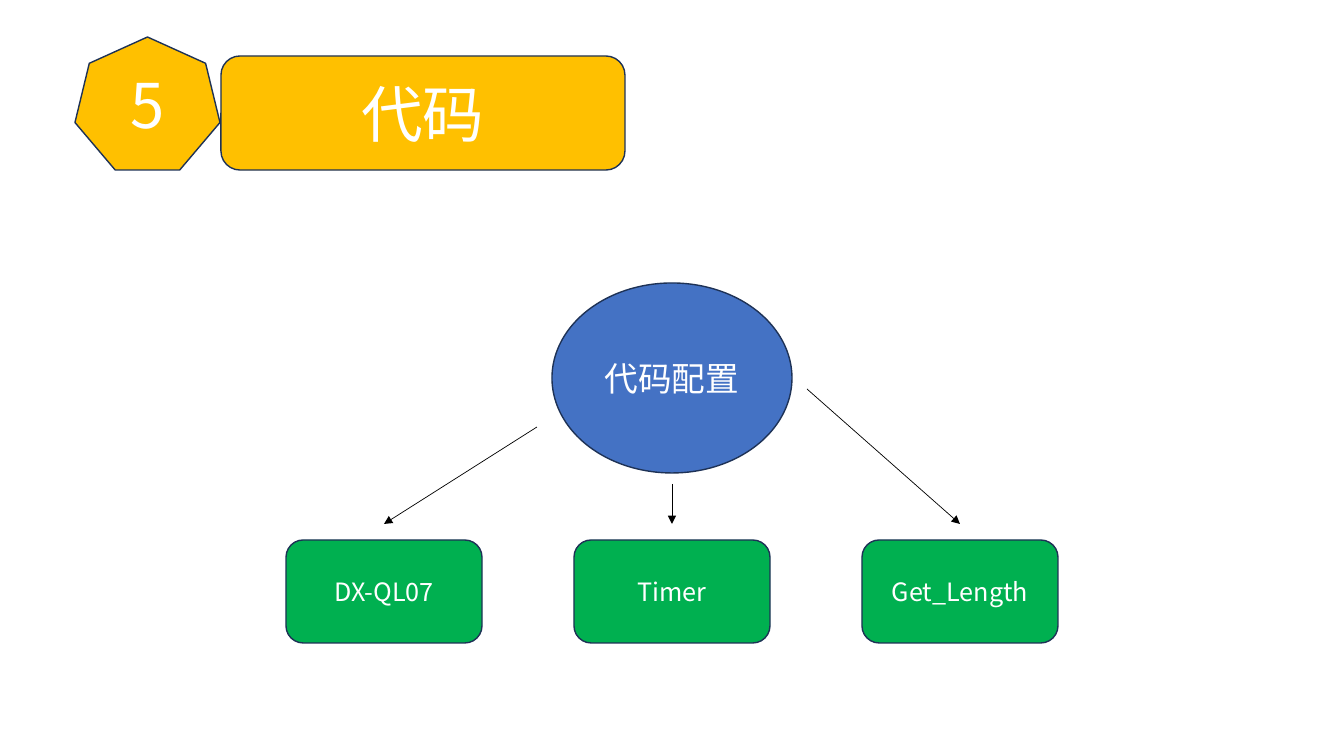
from lxml.etree import SubElement
from pptx import Presentation
from pptx.dml.color import RGBColor
from pptx.enum.shapes import MSO_CONNECTOR, MSO_SHAPE
from pptx.enum.text import MSO_ANCHOR, MSO_AUTO_SIZE, PP_ALIGN
from pptx.oxml.ns import qn
from pptx.util import Emu, Pt

EMU_PER_PX = 914400 / 100.8
FONT = "Noto Sans CJK SC"
COLOURS = {
    "heading": "FFC000",
    "hub": "4472C4",
    "module": "00B050",
    "outline": "1E3256",
    "text": "FFFFFF",
    "arrow": "000000",
}
HEADING_BOX = (221, 56, 404, 114)
MODULES = ["DX-QL07", "Timer", "Get_Length"]
ARROW_STARTS = [(537, 427), (672, 484), (807, 389)]
CENTRE_X, MODULE_PITCH = 672, 288
MODULE_TOP, MODULE_WIDTH, MODULE_HEIGHT = 540, 196, 103
ARROW_END_Y = 524


def px(length):
    return Emu(round(length * EMU_PER_PX))


def colour(key):
    return RGBColor.from_string(COLOURS[key])


def set_text(holder, text, size):
    frame = holder.text_frame
    frame.text = text
    frame.word_wrap = True
    frame.auto_size = MSO_AUTO_SIZE.NONE
    frame.vertical_anchor = MSO_ANCHOR.MIDDLE
    paragraph = frame.paragraphs[0]
    paragraph.alignment = PP_ALIGN.CENTER
    font = paragraph.font
    font.name = FONT
    font.size = Pt(size)
    font.color.rgb = colour("text")
    SubElement(font._element, qn("a:ea"), typeface=FONT)


def add_panel(slide, preset, box, fill):
    panel = slide.shapes.add_shape(preset, *map(px, box))
    panel.shadow.inherit = False
    panel.fill.solid()
    panel.fill.fore_color.rgb = colour(fill)
    panel.line.color.rgb = colour("outline")
    panel.line.width = Pt(1)
    return panel


def add_heading(slide, text):
    """Draw the rounded bar and lay the title placeholder over it."""
    add_panel(slide, MSO_SHAPE.ROUNDED_RECTANGLE, HEADING_BOX, "heading")
    title = slide.shapes.title
    title.left, title.top, title.width, title.height = map(px, HEADING_BOX)
    set_text(title, text, 44)
    slide.shapes._spTree.append(title._element)


def add_arrow(slide, start, end):
    arrow = slide.shapes.add_connector(
        MSO_CONNECTOR.STRAIGHT, *map(px, (*start, *end))
    )
    arrow.line.color.rgb = colour("arrow")
    arrow.line.width = Pt(0.5)
    SubElement(arrow.line._get_or_add_ln(), qn("a:tailEnd"), type="triangle")
    SubElement(arrow._element.spPr, qn("a:effectLst"))


def main():
    deck = Presentation()
    deck.slide_width, deck.slide_height = px(1344), px(756)
    slide = deck.slides.add_slide(deck.slide_layouts[5])

    number = add_panel(slide, MSO_SHAPE.HEPTAGON, (75, 37, 145, 133), "heading")
    set_text(number, "5", 44)
    add_heading(slide, "代码")
    hub = add_panel(slide, MSO_SHAPE.OVAL, (552, 283, 240, 190), "hub")
    set_text(hub, "代码配置", 24)

    for index, (name, start) in enumerate(zip(MODULES, ARROW_STARTS)):
        centre = CENTRE_X + (index - 1) * MODULE_PITCH
        box = (centre - MODULE_WIDTH // 2, MODULE_TOP, MODULE_WIDTH, MODULE_HEIGHT)
        module = add_panel(slide, MSO_SHAPE.ROUNDED_RECTANGLE, box, "module")
        set_text(module, name, 18)
        add_arrow(slide, start, (centre, ARROW_END_Y))

    deck.save("out.pptx")


if __name__ == "__main__":
    main()
